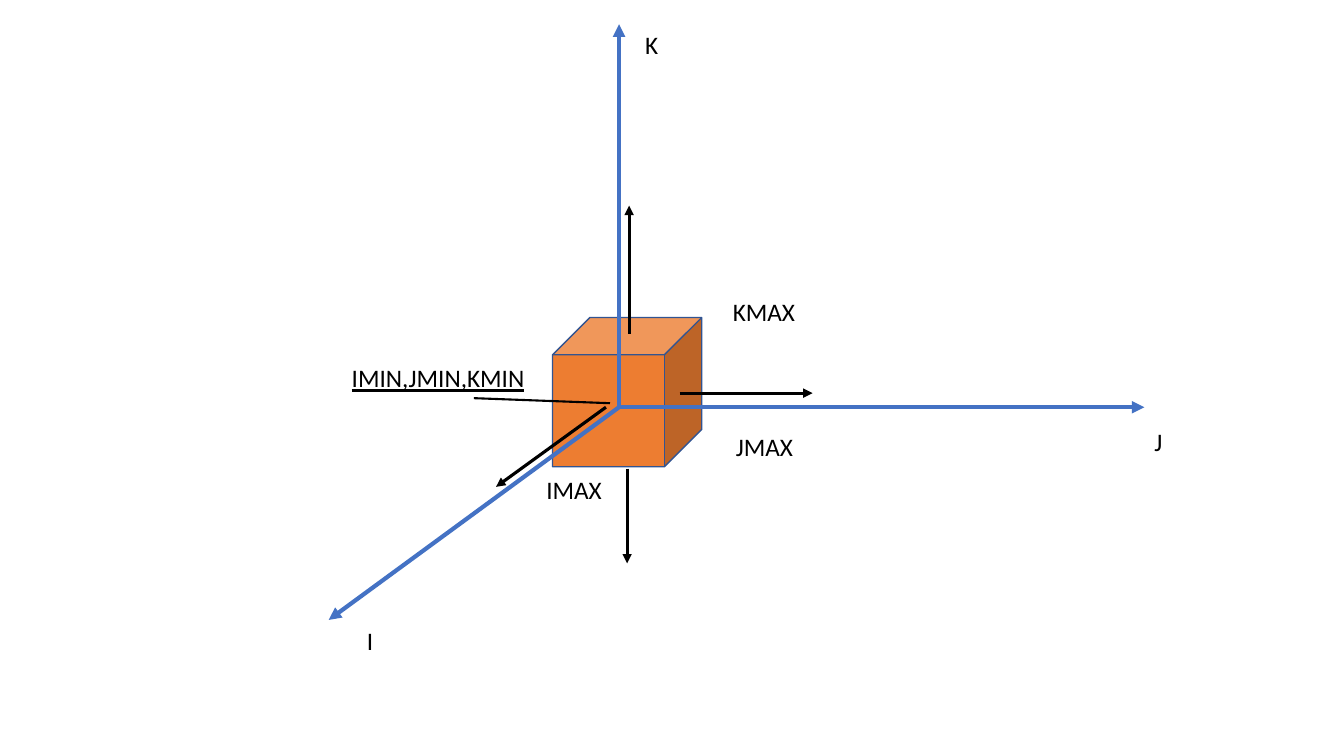
from pptx import Presentation
from pptx.dml.color import RGBColor
from pptx.enum.shapes import MSO_CONNECTOR, MSO_SHAPE
from pptx.enum.text import MSO_AUTO_SIZE
from pptx.oxml.ns import qn
from pptx.util import Inches, Pt
from lxml.etree import SubElement

COLORS = {"cube": "ED7D31", "edge": "325491", "axis": "4472C4", "ink": "000000"}
CUBE = (5.48, 3.15, 1.48, 1.48)
ORIGIN = (6.14, 4.04)
AXIS_ENDS = [(6.14, 0.24), (11.35, 4.04), (3.26, 6.15)]
NORMALS = [
    ((6.24, 3.31), (6.24, 2.04)),
    ((6.74, 3.9), (8.06, 3.9)),
    ((6.01, 4.04), (4.92, 4.83)),
    ((6.22, 4.65), (6.22, 5.59)),
]
LEADER = ((6.05, 4), (4.7, 3.95))
LABELS = [
    ("I", 3.54, 6.15, 0.27),
    ("J", 11.35, 4.18, 0.28),
    ("K", 6.3, 0.24, 0.33),
    ("IMAX", 5.32, 4.66, 0.76),
    ("JMAX", 7.2, 4.23, 0.78),
    ("KMAX", 7.17, 2.89, 0.83),
]
CORNER = ("IMIN,JMIN,KMIN", 3.39, 3.55, 1.93)


def paint(name):
    return RGBColor.from_string(COLORS[name])


def add_cube(slide):
    cube = slide.shapes.add_shape(MSO_SHAPE.CUBE, *map(Inches, CUBE))
    cube.shadow.inherit = False
    cube.fill.solid()
    cube.fill.fore_color.rgb = paint("cube")
    cube.line.color.rgb = paint("edge")
    cube.line.width = Pt(1)


def add_line(slide, start, end, color="ink", width=2.25, arrow=True):
    line = slide.shapes.add_connector(
        MSO_CONNECTOR.STRAIGHT, *map(Inches, (*start, *end)))
    line.line.color.rgb = paint(color)
    line.line.width = Pt(width)
    if arrow:
        SubElement(line.line._get_or_add_ln(), qn("a:tailEnd"), type="triangle")
    SubElement(line._element.spPr, qn("a:effectLst"))


def add_text(slide, text, left, top, width, height=0.4, size=18,
             font="Calibri", color="ink", underline=None):
    box = slide.shapes.add_textbox(*map(Inches, (left, top, width, height)))
    frame = box.text_frame
    frame.word_wrap = False
    frame.auto_size = MSO_AUTO_SIZE.SHAPE_TO_FIT_TEXT
    run = frame.paragraphs[0].add_run()
    run.text = text
    run.font.name = font
    run.font.size = Pt(size)
    run.font.color.rgb = paint(color)
    run.font.underline = underline


def main():
    deck = Presentation()
    deck.slide_width, deck.slide_height = Inches(13.33), Inches(7.5)
    slide = deck.slides.add_slide(deck.slide_layouts[6])
    add_cube(slide)
    for end in AXIS_ENDS:
        add_line(slide, ORIGIN, end, color="axis", width=3)
    for start, end in NORMALS:
        add_line(slide, start, end)
    add_line(slide, *LEADER, width=1.5, arrow=False)
    for label in LABELS:
        add_text(slide, *label)
    add_text(slide, *CORNER, underline=True)
    deck.save("out.pptx")


if __name__ == "__main__":
    main()
